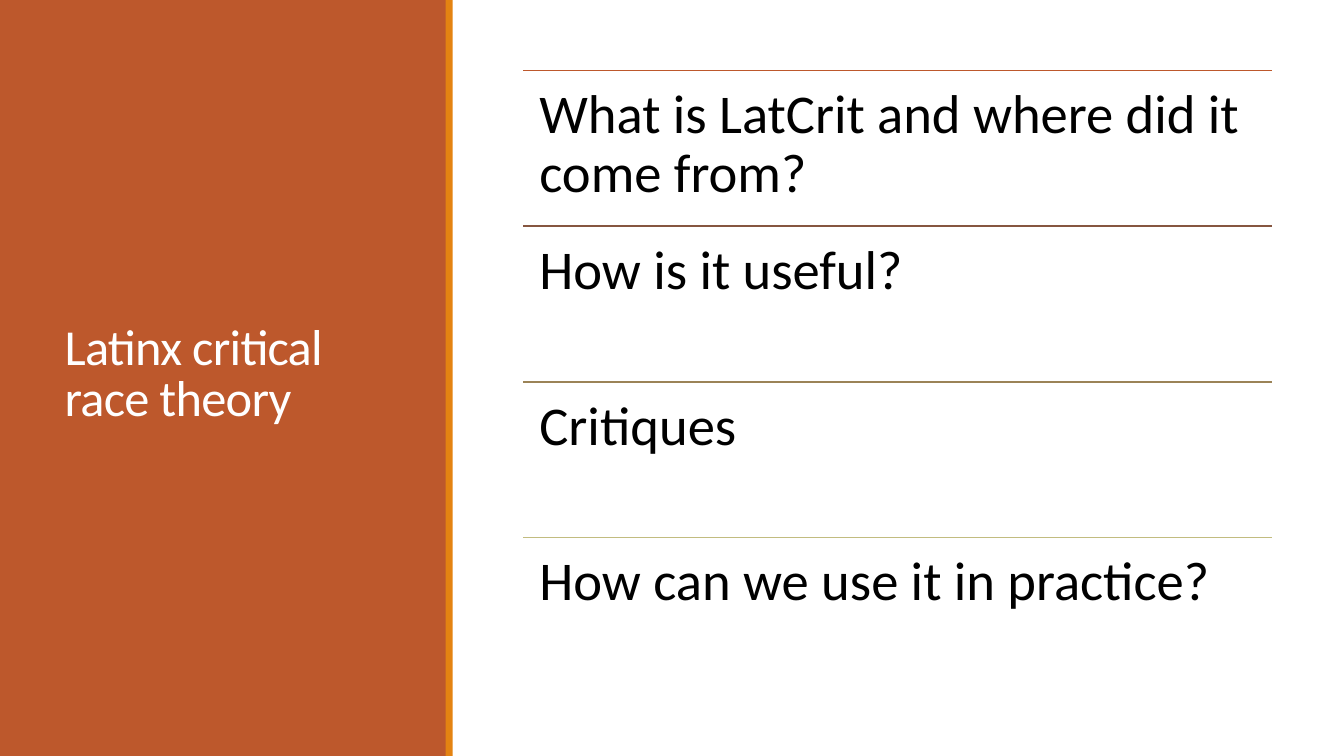
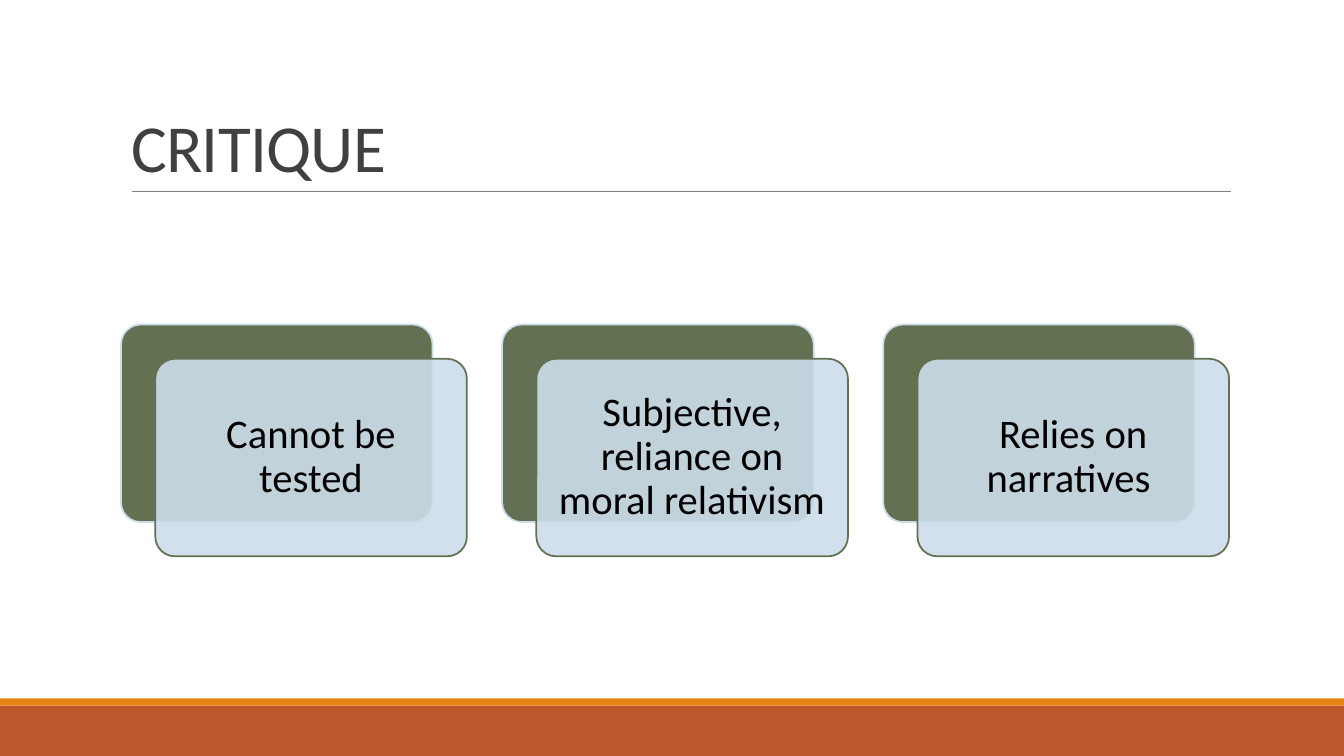
from lxml import etree
from pptx import Presentation
from pptx.dml.color import RGBColor
from pptx.enum.shapes import MSO_CONNECTOR, MSO_SHAPE
from pptx.enum.text import MSO_ANCHOR as ANCHOR, MSO_AUTO_SIZE, PP_ALIGN as ALIGN
from pptx.oxml.ns import qn
from pptx.util import Inches, Pt

COLORS = {
    "rust": "BD582C", "orange": "E48312", "white": "FFFFFF", "black": "000000",
    "title": "404040", "rule": "808080", "green": "637052", "pale": "CCDDEA",
}
TOPIC_RULES = ["BD582C", "865640", "9B8357", "C2BC80"]
FONT = "Calibri"
WIDTH, HEIGHT = 13.33, 7.5
TITLE_ONLY = 5

TOPICS = [
    "What is LatCrit and where did it come from?",
    "How is it useful?",
    "Critiques",
    "How can we use it in practice?",
]
CRITIQUES = [
    "Cannot be tested",
    "Subjective, reliance on moral relativism",
    "Relies on narratives ",
]


def rgb(name):
    return RGBColor.from_string(COLORS.get(name, name))


def write(tf, text, size, color, spacing=0.9, align=ALIGN.LEFT,
          anchor=ANCHOR.TOP, inset=0.1):
    """Fill a text frame with one formatted paragraph and return its run."""
    tf.text = text
    tf.word_wrap = True
    tf.auto_size = MSO_AUTO_SIZE.NONE
    tf.vertical_anchor = anchor
    tf.margin_left = tf.margin_right = Inches(inset)
    tf.margin_top = tf.margin_bottom = Inches(inset if inset > 0.1 else 0.05)
    p = tf.paragraphs[0]
    p.alignment = align
    p.line_spacing = spacing
    r = p.runs[0]
    r.font.name = FONT
    r.font.size = Pt(size)
    r.font.color.rgb = rgb(color)
    return r


def set_title(slide, text, box, size, color, anchor):
    sp = slide.shapes.title
    sp.left, sp.top, sp.width, sp.height = map(Inches, box)
    r = write(sp.text_frame, text, size, color, 0.85, anchor=anchor)
    r.font._element.set("spc", "-50")
    # Bring the title in front of the bands
    sp.element.getparent().append(sp.element)


def add_filled(slide, kind, box, fill, line=None):
    sp = slide.shapes.add_shape(kind, *map(Inches, box))
    sp.shadow.inherit = False
    sp.fill.solid()
    sp.fill.fore_color.rgb = rgb(fill)
    if line:
        sp.line.color.rgb = rgb(line)
        sp.line.width = Pt(1.25)
    else:
        sp.line.fill.background()
    return sp


def add_band(slide, box, color):
    add_filled(slide, MSO_SHAPE.RECTANGLE, box, color)


def add_rule(slide, left, right, y, color, width):
    line = slide.shapes.add_connector(
        MSO_CONNECTOR.STRAIGHT, *map(Inches, (left, y, right, y)))
    line.line.color.rgb = rgb(color)
    line.line.width = Pt(width)
    etree.SubElement(line.element.spPr, qn("a:effectLst"))


def add_card(slide, left, top, text):
    """Draw a green card with a translucent text card offset in front."""
    width, height, offset = 3.09, 1.96, 0.34
    back = add_filled(slide, MSO_SHAPE.ROUNDED_RECTANGLE,
                      (left, top, width, height), "green", "pale")
    front = add_filled(slide, MSO_SHAPE.ROUNDED_RECTANGLE,
                       (left + offset, top + offset, width, height), "pale", "green")
    for sp in (back, front):
        sp.adjustments[0] = 0.1
    fill_color = front.element.spPr.find(qn("a:solidFill"))[0]
    etree.SubElement(fill_color, qn("a:alpha"), val="90000")
    write(front.text_frame, text, 29, "black", align=ALIGN.CENTER,
          anchor=ANCHOR.MIDDLE, inset=0.12)


def build_agenda(prs):
    slide = prs.slides.add_slide(prs.slide_layouts[TITLE_ONLY])
    add_band(slide, (0, 0, 4.43, HEIGHT), "rust")
    add_band(slide, (4.42, 0, 0.07, HEIGHT), "orange")
    set_title(slide, "Latinx critical race theory", (0.54, 0.57, 3.37, 6.31),
              36, "white", ANCHOR.MIDDLE)
    left, top, width, row = 5.19, 0.7, 7.43, 1.544
    for i, (topic, color) in enumerate(zip(TOPICS, TOPIC_RULES)):
        y = top + i * row
        add_rule(slide, left, left + width, y, color, 1.25)
        box = slide.shapes.add_textbox(*map(Inches, (left, y, width, row)))
        write(box.text_frame, topic, 39, "black", inset=0.16)


def build_critique(prs):
    slide = prs.slides.add_slide(prs.slide_layouts[TITLE_ONLY])
    add_band(slide, (0, 7, WIDTH, 0.5), "rust")
    add_band(slide, (0, 6.93, WIDTH, 0.07), "orange")
    add_rule(slide, 1.31, 12.21, 1.9, "rule", 0.5)
    set_title(slide, "CRITIQUE", (1.2, 0.31, 11, 1.59), 48, "title", ANCHOR.BOTTOM)
    for i, text in enumerate(CRITIQUES):
        add_card(slide, 1.2 + i * 3.78, 3.22, text)


def main():
    prs = Presentation()
    prs.slide_width, prs.slide_height = Inches(WIDTH), Inches(HEIGHT)
    build_agenda(prs)
    build_critique(prs)
    prs.save("out.pptx")


if __name__ == "__main__":
    main()
